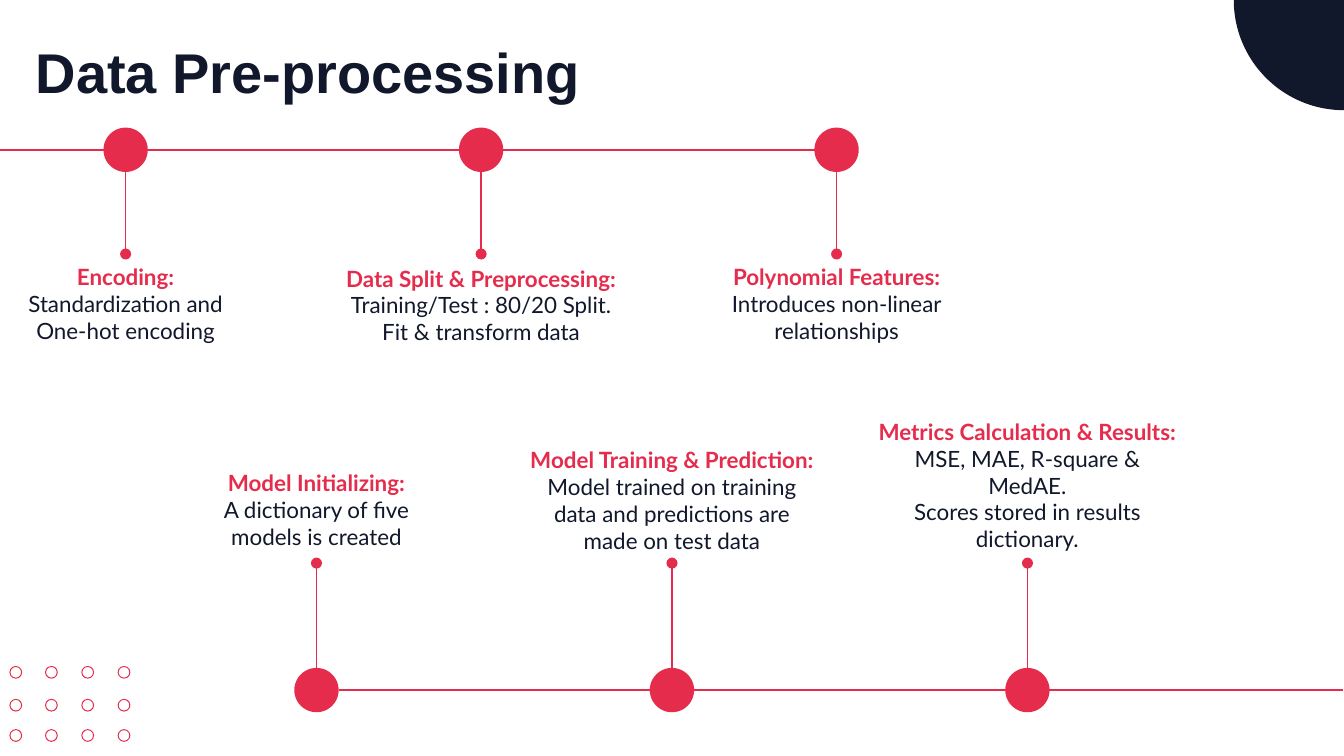
import math

from lxml import etree
from pptx import Presentation
from pptx.dml.color import RGBColor
from pptx.enum.shapes import MSO_CONNECTOR, MSO_SHAPE
from pptx.enum.text import MSO_ANCHOR, MSO_AUTO_SIZE, PP_ALIGN
from pptx.oxml.ns import qn
from pptx.util import Pt

SCALE = 4572
SLIDE_W, SLIDE_H = 2000, 1125
NAVY, RED = "11182B", "E52C4C"
STRAIGHT = MSO_CONNECTOR.STRAIGHT
ELLIPSE, RING = MSO_SHAPE.OVAL, MSO_SHAPE.DONUT
TOP, BOTTOM = MSO_ANCHOR.TOP, MSO_ANCHOR.BOTTOM
LEFT, CENTER = PP_ALIGN.LEFT, PP_ALIGN.CENTER
NO_AUTOFIT = MSO_AUTO_SIZE.NONE
NODE, NODE_RADIUS, NODE_STEP, INSET = 66, 33, 529, 20

PREPARATION = [
    ("Encoding:", ["Standardization and One-hot encoding"], 362, 154, 0),
    ("Data Split & Preprocessing:",
     ["Training/Test : 80/20 Split.", "Fit & transform data"], 464, 154, 2),
    ("Polynomial Features:", ["Introduces non-linear relationships"], 464, 154, 0),
]
MODELLING = [
    ("Model Initializing:", ["A dictionary of five models is created"], 362, 154, 0),
    ("Model Training & Prediction:",
     ["Model trained on training data and predictions are made on test data"],
     464, 186, 6),
    ("Metrics Calculation & Results:",
     ["MSE, MAE, R-square & MedAE.", "Scores stored in results dictionary."],
     500, 154, 4),
]


def px(*lengths):
    return [length * SCALE for length in lengths]


def color(hex_code):
    return RGBColor.from_string(hex_code)


def paint(shape, hex_code):
    shape.shadow.inherit = False
    shape.fill.solid()
    shape.fill.fore_color.rgb = color(hex_code)
    shape.line.fill.background()


def add_line(slide, start, end, dotted_end=False):
    line = slide.shapes.add_connector(STRAIGHT, *px(*start, *end))
    line.line.color.rgb = color(RED)
    line.line.width = Pt(0.75)
    properties = line._element.spPr
    if dotted_end:
        etree.SubElement(properties.find(qn("a:ln")), qn("a:tailEnd"), type="oval")
    etree.SubElement(properties, qn("a:effectLst"))


def set_frame(frame, anchor):
    frame.word_wrap = True
    frame.auto_size = NO_AUTOFIT
    frame.vertical_anchor = anchor
    (frame.margin_left, frame.margin_top,
     frame.margin_right, frame.margin_bottom) = px(*[INSET] * 4)


def write(paragraph, text, font, size, hex_code, bold, align):
    paragraph.alignment = align
    run = paragraph.add_run()
    run.text = text
    run.font.name = font
    run.font.size = Pt(size)
    run.font.bold = bold
    run.font.color.rgb = color(hex_code)


def add_title(slide, box):
    title = slide.shapes.title
    title.left, title.top, title.width, title.height = px(*box)
    set_frame(title.text_frame, TOP)
    write(title.text_frame.paragraphs[0], "Data Pre-processing",
          "Arial", 30, NAVY, True, LEFT)


def add_ring_grid(slide, box):
    x, y, width, _ = box
    ring_size = 19
    for row_offset in (0, 49, 94):
        for column in range(4):
            left = x + (width - ring_size) * column // 3
            ring = slide.shapes.add_shape(
                RING, *px(left, y + row_offset, ring_size, ring_size))
            ring.adjustments[0] = 0.08
            paint(ring, RED)


def add_corner(slide, box):
    x, y, radius, _ = box
    right = x + radius
    angles = [math.radians(90 + 2 * step) for step in range(46)]
    arc = [(round(SCALE * (right + radius * math.cos(a))),
            round(SCALE * (y + radius * math.sin(a)))) for a in angles]
    builder = slide.shapes.build_freeform(*px(right, y))
    builder.add_line_segments(arc, close=True)
    paint(builder.convert_to_shape(), NAVY)


def add_caption(slide, box, heading, details):
    frame = slide.shapes.add_textbox(*px(*box)).text_frame
    set_frame(frame, BOTTOM)
    write(frame.paragraphs[0], heading, "Lato", 12, RED, True, CENTER)
    for detail in details:
        write(frame.add_paragraph(), detail, "Lato", 12, NAVY, False, CENTER)


def add_timeline(slide, box, first_node, rail, steps, upward=False):
    x, y, _, height = box
    node_top = y + height - NODE if upward else y
    stem_start = node_top if upward else node_top + 56
    stem_end = node_top - 156 if upward else node_top + 188
    rail_y = node_top + NODE_RADIUS
    add_line(slide, (x + rail[0], rail_y), (x + rail[1], rail_y))
    for index, (heading, details, caption_w, caption_h, nudge) in enumerate(steps):
        left = x + first_node + NODE_STEP * index
        middle = left + NODE_RADIUS
        node = slide.shapes.add_shape(ELLIPSE, *px(left, node_top, NODE, NODE))
        paint(node, RED)
        add_line(slide, (middle, stem_start), (middle, stem_end), dotted_end=True)
        caption_top = stem_end + nudge - (caption_h if upward else 0)
        add_caption(slide, (middle - caption_w // 2, caption_top, caption_w, caption_h),
                    heading, details)


def main():
    deck = Presentation()
    deck.slide_width, deck.slide_height = px(SLIDE_W, SLIDE_H)
    slide = deck.slides.add_slide(deck.slide_layouts[5])
    add_ring_grid(slide, (14, 991, 180, 113))
    add_corner(slide, (1836, 0, 164, 164))
    add_title(slide, (33, 36, 1728, 154))
    add_timeline(slide, (0, 190, 1478, 342), 154, (0, 1246), PREPARATION)
    add_timeline(slide, (292, 658, 1708, 402), 146, (212, 1706), MODELLING, upward=True)
    deck.save("out.pptx")


if __name__ == "__main__":
    main()
